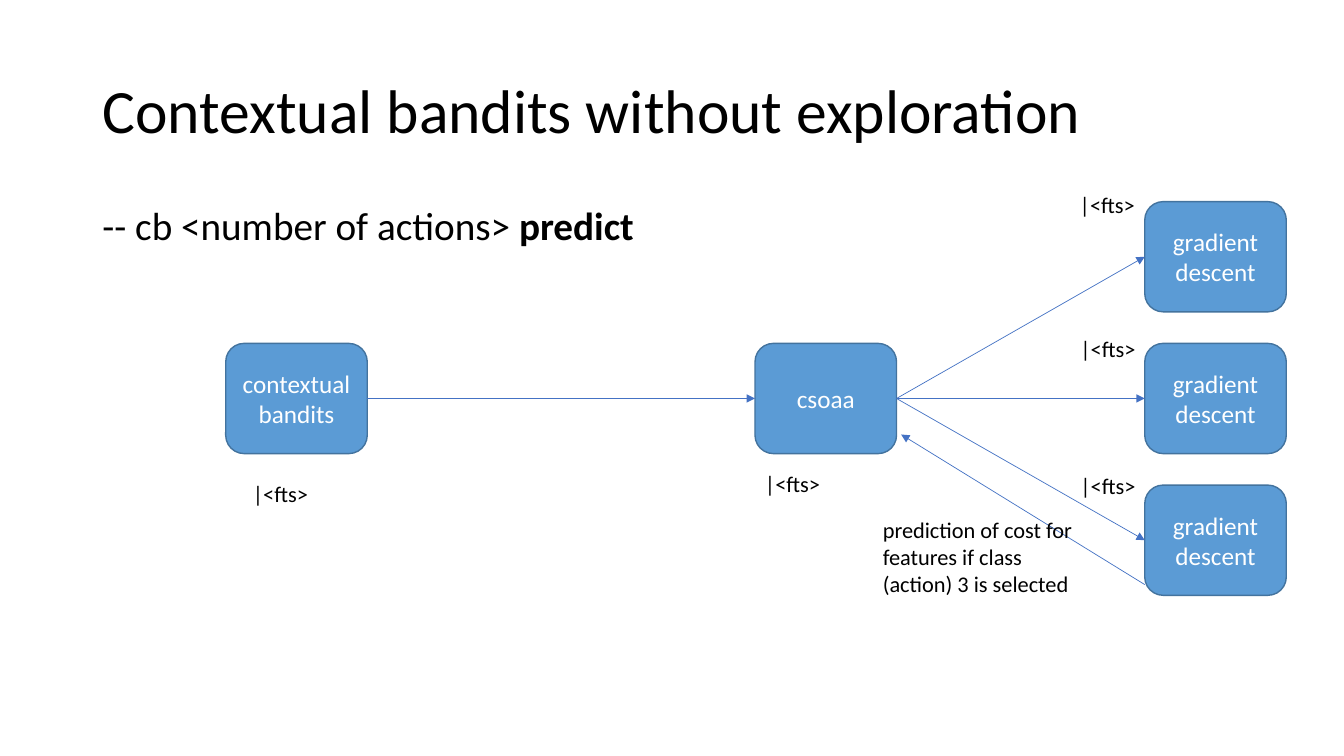
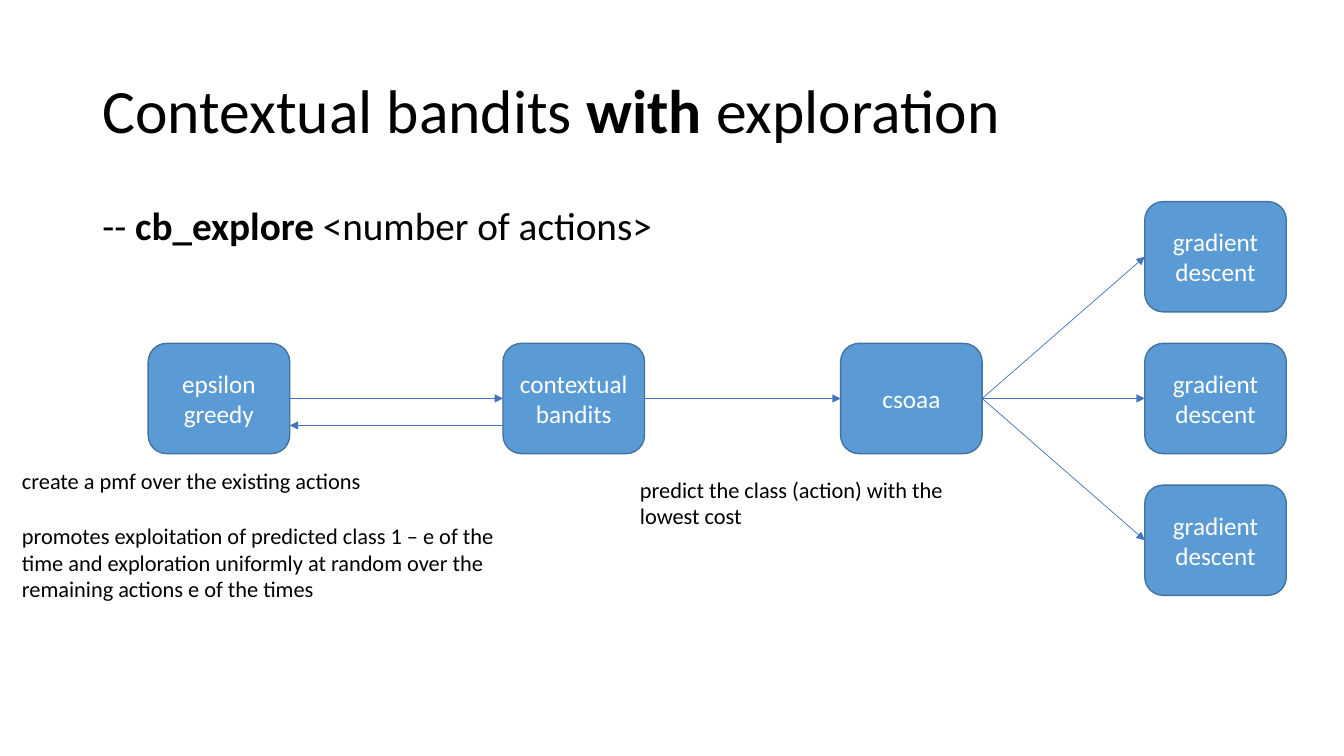
from lxml import etree
from pptx import Presentation
from pptx.dml.color import RGBColor
from pptx.enum.shapes import MSO_CONNECTOR, MSO_SHAPE
from pptx.enum.text import MSO_ANCHOR, MSO_AUTO_SIZE, PP_ALIGN
from pptx.oxml.ns import qn
from pptx.util import Inches, Pt

STRAIGHT = MSO_CONNECTOR.STRAIGHT
ROUNDED = MSO_SHAPE.ROUNDED_RECTANGLE
TOP, MIDDLE = MSO_ANCHOR.TOP, MSO_ANCHOR.MIDDLE
LEFT, CENTER = PP_ALIGN.LEFT, PP_ALIGN.CENTER
FIXED, GROW = MSO_AUTO_SIZE.NONE, MSO_AUTO_SIZE.SHAPE_TO_FIT_TEXT

BLACK = RGBColor(0x00, 0x00, 0x00)
WHITE = RGBColor(0xFF, 0xFF, 0xFF)
BOX_FILL = RGBColor(0x5B, 0x9B, 0xD5)
BOX_EDGE = RGBColor(0x43, 0x73, 0x9E)
ARROW = RGBColor(0x44, 0x72, 0xC4)

FONT = "Calibri"
TITLE_ONLY = 5
LEFT_SITE, RIGHT_SITE = 1, 3

# Lengths are percent of the slide's width or height
MARGIN, CONTENT_WIDTH = 6.88, 86.25
BOX_WIDTH, BOX_HEIGHT = 10.53, 14.58
FIRST_ROW, ROW_STEP = 26.67, 18.75
MIDDLE_ROW = 1
LEARNER_LEFT = 85.18
LABEL_WIDTH = 8


def write(frame, text, size=16, color=BLACK, align=LEFT, anchor=TOP,
          fit=FIXED, line_spacing=None, before=0, gap=0):
    """Fill a text frame; newlines part paragraphs, asterisks enclose bold."""
    frame.word_wrap = True
    frame.auto_size = fit
    frame.vertical_anchor = anchor
    for number, line in enumerate(text.split("\n")):
        para = frame.add_paragraph() if number else frame.paragraphs[0]
        para.alignment = align
        para.line_spacing = line_spacing
        para.space_before = Pt(gap if number else before)
        for index, part in enumerate(line.split("*")):
            if part:
                span = para.add_run()
                span.text = part
                span.font.name = FONT
                span.font.size = Pt(size)
                span.font.color.rgb = color
                span.font.bold = index % 2 == 1


class Deck:
    def __init__(self):
        self.file = Presentation()
        self.file.slide_width = Inches(13.333)
        self.file.slide_height = Inches(7.5)
        self.page = None

    def across(self, share):
        return round(self.file.slide_width * share / 100)

    def down(self, share):
        return round(self.file.slide_height * share / 100)

    def area(self, left, top, width, height):
        return (self.across(left), self.down(top),
                self.across(width), self.down(height))

    def add_page(self, title, command):
        self.page = self.file.slides.add_slide(
            self.file.slide_layouts[TITLE_ONLY])
        holder = self.page.shapes.title
        (holder.left, holder.top, holder.width,
         holder.height) = self.area(MARGIN, 5.32, CONTENT_WIDTH, 19.33)
        write(holder.text_frame, title, size=44, anchor=MIDDLE,
              line_spacing=0.9)
        self.text(command, MARGIN, 26.62, CONTENT_WIDTH, 63.45, size=28,
                  line_spacing=0.9, before=10)

    def text(self, text, left, top, width, height, **style):
        box = self.page.shapes.add_textbox(
            *self.area(left, top, width, height))
        write(box.text_frame, text, **style)

    def note(self, text, left, top, width, height=4.93, **style):
        self.text(text, left, top, width, height, fit=GROW, **style)

    def box(self, text, left, row=MIDDLE_ROW):
        box = self.page.shapes.add_shape(ROUNDED, *self.area(
            left, FIRST_ROW + row * ROW_STEP, BOX_WIDTH, BOX_HEIGHT))
        box.shadow.inherit = False
        box.fill.solid()
        box.fill.fore_color.rgb = BOX_FILL
        box.line.color.rgb = BOX_EDGE
        box.line.width = Pt(1)
        write(box.text_frame, text, size=18, color=WHITE, align=CENTER,
              anchor=MIDDLE)
        return box

    def arrow(self, x1, y1, x2, y2):
        arrow = self.page.shapes.add_connector(
            STRAIGHT, self.across(x1), self.down(y1),
            self.across(x2), self.down(y2))
        arrow.line.color.rgb = ARROW
        arrow.line.width = Pt(0.5)
        properties = arrow.element.spPr
        line = properties.find(qn("a:ln"))
        etree.SubElement(line, qn("a:tailEnd"), type="triangle")
        etree.SubElement(properties, qn("a:effectLst"))
        return arrow

    def link(self, source, target):
        arrow = self.arrow(0, 0, 0, 0)
        arrow.begin_connect(source, RIGHT_SITE)
        arrow.end_connect(target, LEFT_SITE)

    def chain(self, *steps):
        """Join (text, left) boxes in a row, then fan out to the learners."""
        boxes = [self.box(text, left) for text, left in steps]
        for source, target in zip(boxes, boxes[1:]):
            self.link(source, target)
        for row in range(3):
            self.link(boxes[-1],
                      self.box("gradient descent", LEARNER_LEFT, row))


deck = Deck()

# Without exploration
deck.add_page("Contextual bandits without exploration",
              "-- cb <number of actions> *predict*")
deck.chain(("contextual bandits", 16.8), ("csoaa", 56.18))
for left, top in ((18.08, 62.8), (56.18, 61.47), (79.6, 24.67),
                  (79.65, 43.73), (79.65, 61.73)):
    deck.note("|<fts>", left, top, LABEL_WIDTH)
deck.arrow(LEARNER_LEFT, 77.33, 67.05, 57.47)
deck.note("prediction of cost for features if class (action) 3 is selected",
          64.95, 67.6, 16.43, 12.13)

# With exploration
deck.add_page("Contextual bandits *with* exploration",
              "-- *cb_explore* <number of actions>")
deck.chain(("epsilon greedy", 11.03), ("contextual bandits", 37.43),
           ("csoaa", 62.55))
deck.arrow(37.43, 56.27, 11.03 + BOX_WIDTH, 56.27)
deck.note("predict the class (action) with the lowest cost",
          46.88, 62.27, 26.03, 8.53)
deck.note("create a pmf over the existing actions\n"
          "promotes exploitation of predicted class 1 – e of the time and "
          "exploration uniformly at random over the remaining actions e of "
          "the times",
          0.9, 61.2, 37.88, 19.33, gap=19.5)

deck.file.save("out.pptx")
